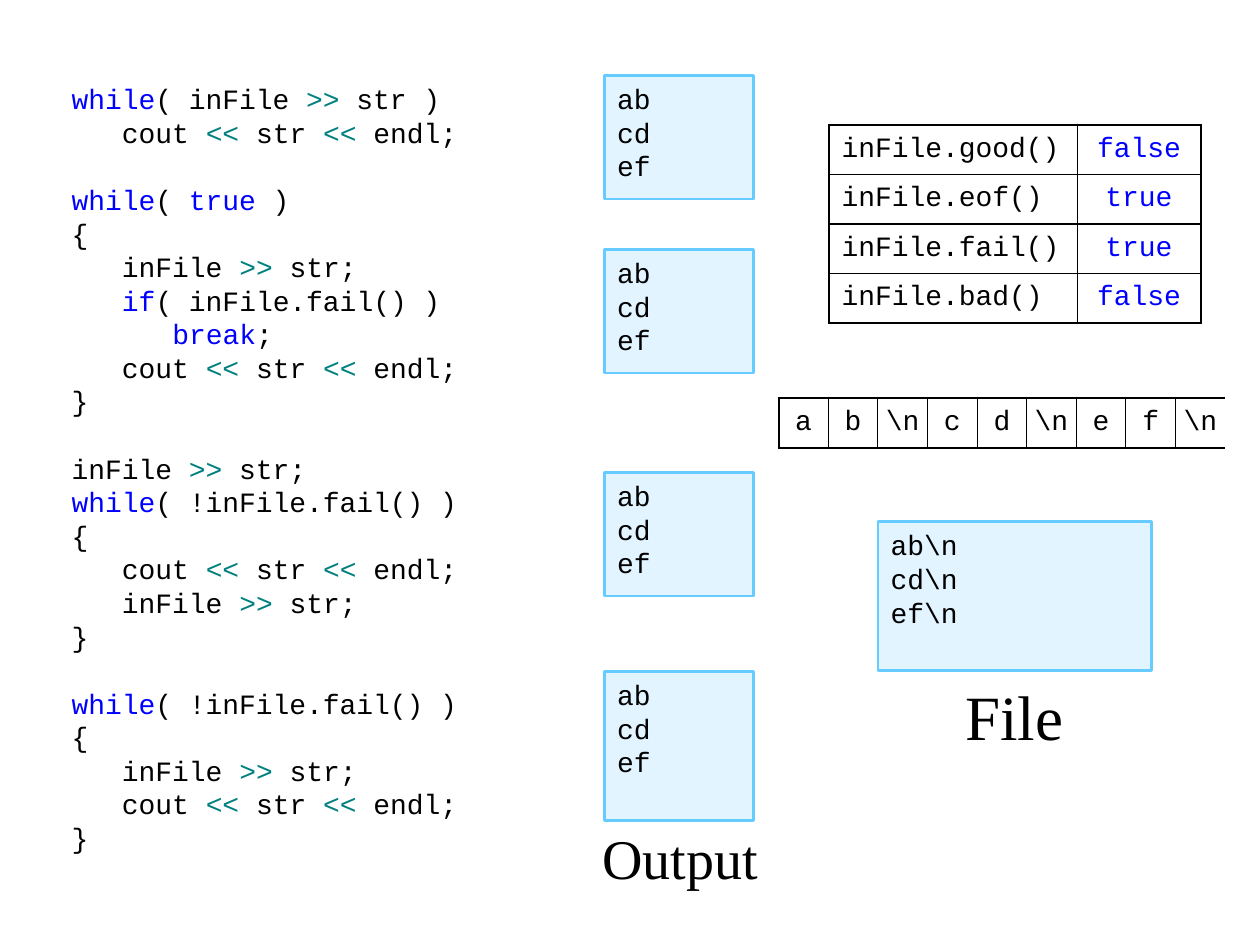
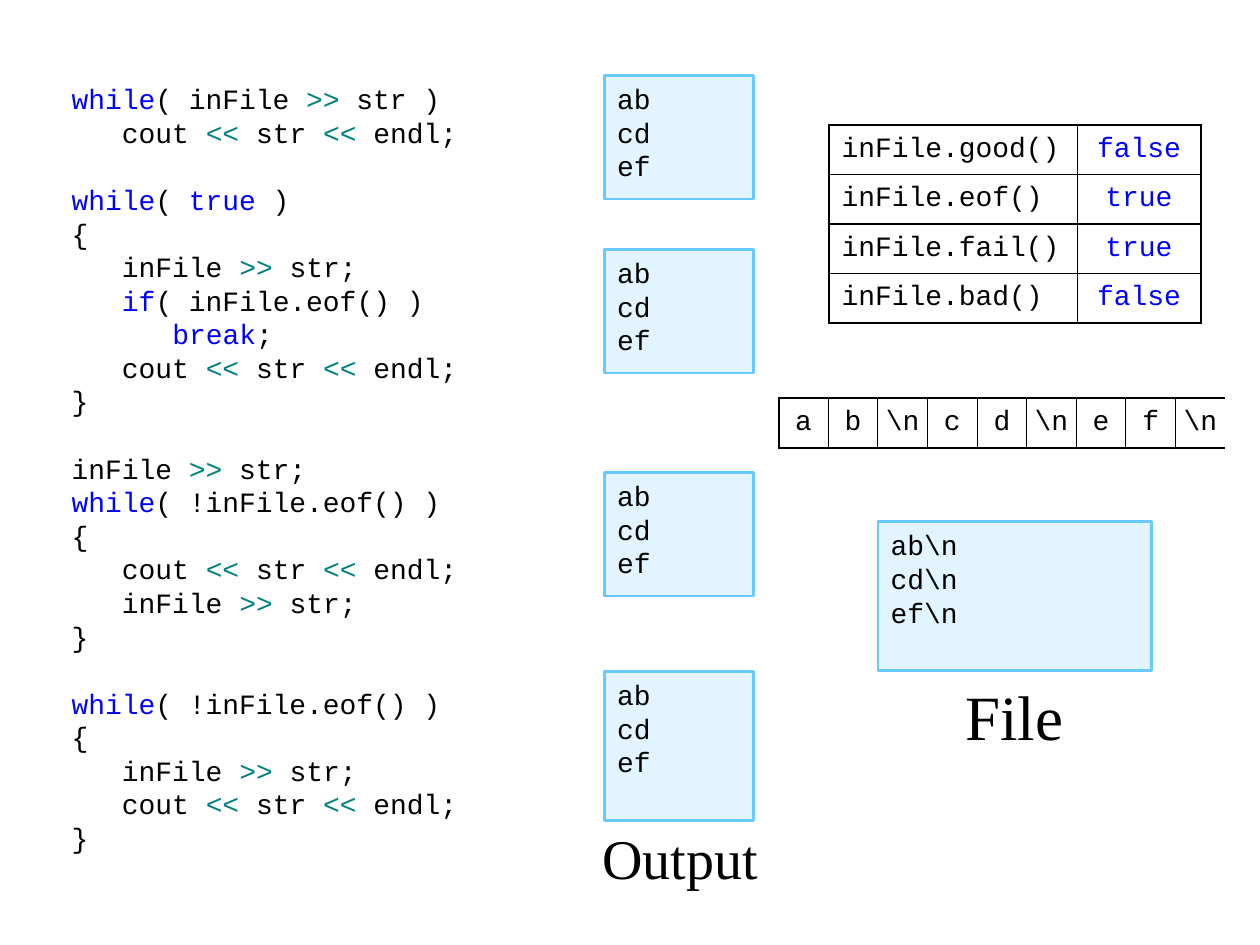
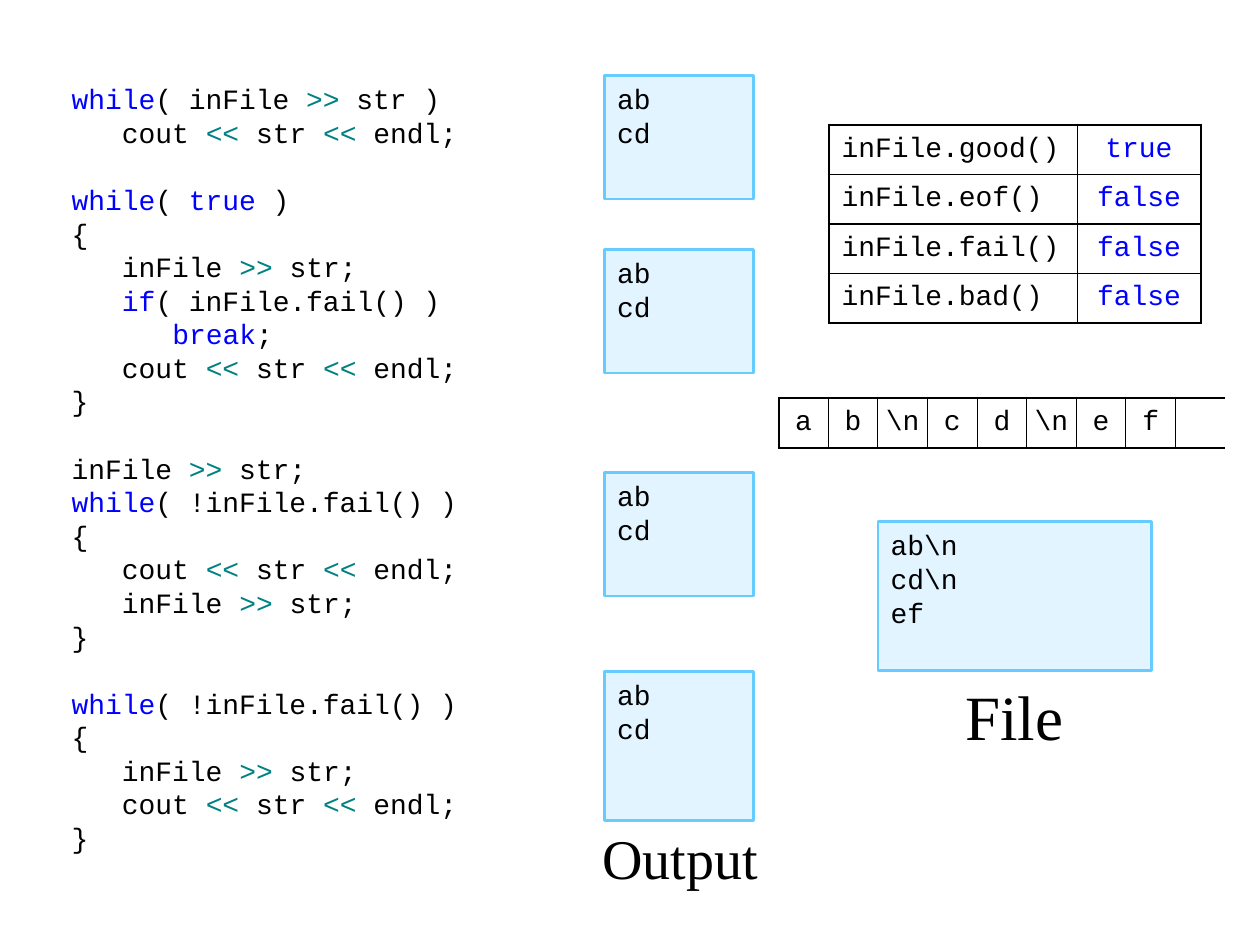
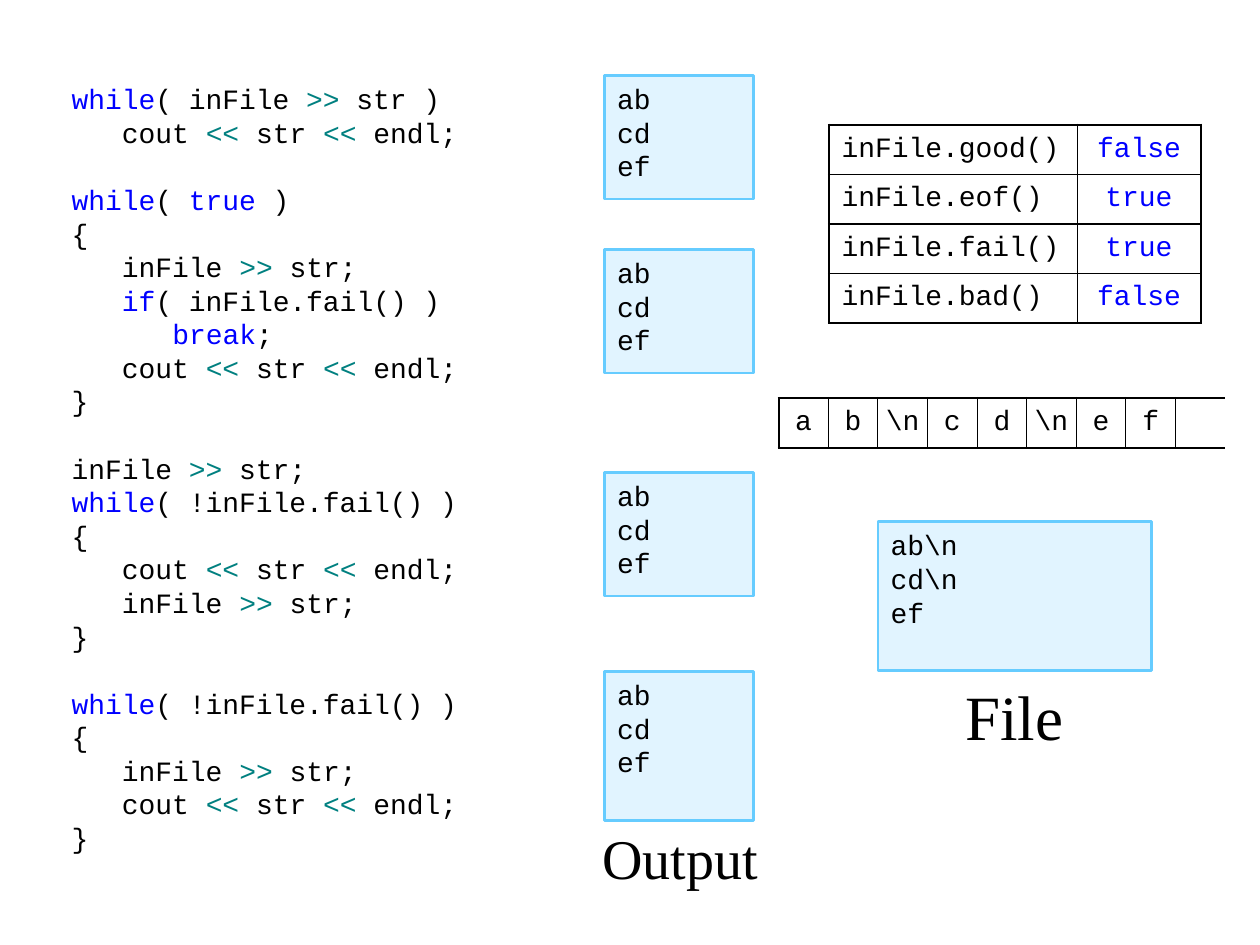
from dataclasses import dataclass
from itertools import groupby

from lxml import etree
from pptx import Presentation, util as u
from pptx.dml.color import RGBColor
from pptx.enum import shapes, text
from pptx.oxml import ns


@dataclass(frozen=True)
class Theme:
    ink: str = "000000"
    keyword: str = "0000FF"
    operator: str = "008080"
    panel_fill: str = "E1F4FF"
    panel_line: str = "66CCFF"
    code_font: str = "Courier New"
    label_font: str = "Times New Roman"
    code_size: float = 16
    line_pitch: float = 19.2
    output_size: float = 32
    file_size: float = 36
    frame_width: float = 1.5


THEME = Theme()

# Content: four read loops, each line as (indent level, code)
READ = "inFile >> str;"
PRINT = "cout << str << endl;"
KEYWORDS = {"while", "if", "break", "true", "false"}
LOOPS = [
    [(0, "while( inFile >> str )"), (1, PRINT)],
    [(0, "while( true )"), (0, "{"), (1, READ), (1, "if( inFile.{test}() )"),
     (2, "break;"), (1, PRINT), (0, "}")],
    [(0, READ), (0, "while( !inFile.{test}() )"), (0, "{"), (1, PRINT), (1, READ), (0, "}")],
    [(0, "while( !inFile.{test}() )"), (0, "{"), (1, READ), (1, PRINT), (0, "}")],
]
STATES = ["good", "eof", "fail", "bad"]
AT_END = ["false", "true", "true", "false"]
READING = ["true", "false", "false", "false"]
NEWLINE = r"\n"
CLOSED_FILE = [r"ab\n", r"cd\n", r"ef\n"]
OPEN_FILE = [r"ab\n", r"cd\n", "ef"]
WORDS = ["ab", "cd", "ef"]
SLIDES = [
    dict(test="fail", output=WORDS, values=AT_END, lines=CLOSED_FILE),
    dict(test="eof", output=WORDS, values=AT_END, lines=CLOSED_FILE),
    dict(test="fail", output=WORDS[:2], values=READING, lines=OPEN_FILE),
    dict(test="fail", output=WORDS, values=AT_END, lines=OPEN_FILE),
]

# Layout in inches
CODE_AT = (0.47, 0.6, 3.74, 6.3)
INDENT = 0.4
OUTPUT_LEFT, OUTPUT_WIDTH = 4.8, 1.18
OUTPUT_ROWS = [(0.6, 0.98), (1.98, 0.98), (3.75, 0.98), (5.33, 1.18)]
OUTPUT_LABEL_AT = (4.61, 6.51, 1.58, 0.59)
FILE_AT = (6.97, 4.14, 2.17, 1.18)
FILE_LABEL_AT = (7.56, 5.33, 0.98, 0.79)
STATE_AT, STATE_COLUMNS = (6.58, 0.99), [1.97, 0.98]
TAPE_AT, TAPE_CELLS = (6.18, 3.16), 9
CELL = 0.394


def inches(values):
    return [u.Inches(value) for value in values]


def style(para, size=THEME.code_size, font=THEME.code_font, color=THEME.ink, align=None):
    para.font.size, para.font.name = u.Pt(size), font
    para.font.bold = False
    para.font.color.rgb = RGBColor.from_string(color)
    para.alignment = align


def paragraphs(frame, count):
    """Yield the first paragraph of a frame and then new ones."""
    yield frame.paragraphs[0]
    for _ in range(count - 1):
        yield frame.add_paragraph()


def token_color(token):
    if token in KEYWORDS:
        return THEME.keyword
    return THEME.operator if token[0] in "<>" else THEME.ink


def spans(code):
    """Split code into (colour, text) pieces."""
    kinds = groupby(code, lambda char: "word" if char.isalpha() else char in "<>")
    tokens = ["".join(chars) for _, chars in kinds]
    for color, group in groupby(tokens, token_color):
        yield color, "".join(group)


def add_code(page, test):
    frame = page.shapes.add_textbox(*inches(CODE_AT)).text_frame
    frame.word_wrap = True
    rows = [(level, code, number > 0 and index == 0)
            for number, loop in enumerate(LOOPS) for index, (level, code) in enumerate(loop)]
    for para, (level, code, starts_loop) in zip(paragraphs(frame, len(rows)), rows):
        style(para)
        para.line_spacing = u.Pt(THEME.line_pitch)
        if starts_loop:
            para.space_before = u.Pt(THEME.line_pitch)
        if level:
            para._p.get_or_add_pPr().set("marL", str(u.Inches(INDENT * level)))
        for color, piece in spans(code.replace("{test}", test)):
            span = para.add_run()
            span.text = piece
            span.font.color.rgb = RGBColor.from_string(color)


def add_panel(page, at, lines):
    box = page.shapes.add_shape(shapes.MSO_SHAPE.RECTANGLE, *inches(at))
    box.shadow.inherit = False
    box.fill.solid()
    box.fill.fore_color.rgb = RGBColor.from_string(THEME.panel_fill)
    box.line.color.rgb = RGBColor.from_string(THEME.panel_line)
    box.line.width = u.Pt(THEME.frame_width)
    frame = box.text_frame
    frame.word_wrap = True
    frame.vertical_anchor = text.MSO_ANCHOR.TOP
    for para, line in zip(paragraphs(frame, len(lines)), lines):
        para.text = line
        style(para, align=text.PP_ALIGN.LEFT)
        para.line_spacing = u.Pt(THEME.line_pitch)


def add_label(page, at, label, size, anchor):
    frame = page.shapes.add_textbox(*inches(at)).text_frame
    frame.word_wrap = False
    frame.vertical_anchor = anchor
    frame.paragraphs[0].text = label
    style(frame.paragraphs[0], size, THEME.label_font, align=text.PP_ALIGN.CENTER)


def set_borders(cell, widths):
    """Draw left, right, top and bottom borders; a zero width draws none."""
    properties = cell._tc.get_or_add_tcPr()
    for side, width in zip("LRTB", widths):
        line = etree.SubElement(properties, ns.qn(f"a:ln{side}"), w=str(u.Pt(width)))
        if width:
            fill = etree.SubElement(line, ns.qn("a:solidFill"))
            etree.SubElement(fill, ns.qn("a:srgbClr"), val=THEME.ink)
        else:
            etree.SubElement(line, ns.qn("a:noFill"))


def add_grid(page, at, columns, rows, inner, margins, centered, open_right=False):
    """Add a table with a heavy frame and thin inner lines."""
    size = (sum(columns), CELL * len(rows))
    table = page.shapes.add_table(len(rows), len(columns), *inches(at + size)).table
    table.first_row = table.horz_banding = False
    for column, width in zip(table.columns, columns):
        column.width = u.Inches(width)
    last_row, last_column = len(rows) - 1, len(columns) - 1
    outer = THEME.frame_width
    for r, values in enumerate(rows):
        table.rows[r].height = u.Inches(CELL)
        for c, value in enumerate(values):
            cell = table.cell(r, c)
            edge = 0 if open_right else outer
            set_borders(cell, (inner if c else outer, inner if c < last_column else edge,
                               inner if r else outer, inner if r < last_row else outer))
            cell.fill.background()
            cell.vertical_anchor = text.MSO_ANCHOR.MIDDLE
            cell.margin_left = cell.margin_right = u.Inches(margins[0])
            cell.margin_top = cell.margin_bottom = u.Inches(margins[1])
            para = cell.text_frame.paragraphs[0]
            para.text = value
            style(para, color=token_color(value) if value else THEME.ink,
                  align=text.PP_ALIGN.CENTER if c in centered else text.PP_ALIGN.LEFT)


def tape(lines):
    """Spread the file over single cells, one per character or line end."""
    cells = []
    for line in lines:
        cells += list(line.removesuffix(NEWLINE))
        if line.endswith(NEWLINE):
            cells.append(NEWLINE)
    return cells + [""] * (TAPE_CELLS - len(cells))


def build_page(deck, test, output, values, lines):
    page = deck.slides.add_slide(deck.slide_layouts[6])
    add_code(page, test)

    # Output of each loop
    for top, height in OUTPUT_ROWS:
        add_panel(page, (OUTPUT_LEFT, top, OUTPUT_WIDTH, height), output)
    add_label(page, OUTPUT_LABEL_AT, "Output", THEME.output_size, text.MSO_ANCHOR.MIDDLE)

    # File contents
    add_panel(page, FILE_AT, lines)
    add_label(page, FILE_LABEL_AT, "File", THEME.file_size, text.MSO_ANCHOR.TOP)

    # Stream state and character tape
    states = [(f"inFile.{state}()", value) for state, value in zip(STATES, values)]
    add_grid(page, STATE_AT, STATE_COLUMNS, states, 1, (0.1, 0.04), {1})
    add_grid(page, TAPE_AT, [CELL] * TAPE_CELLS, [tape(lines)], 0.75, (0, 0),
             range(TAPE_CELLS), open_right=True)


def main():
    deck = Presentation()
    deck.slide_width, deck.slide_height = u.Inches(10), u.Inches(7.5)
    for content in SLIDES:
        build_page(deck, **content)
    deck.save("out.pptx")


if __name__ == "__main__":
    main()
